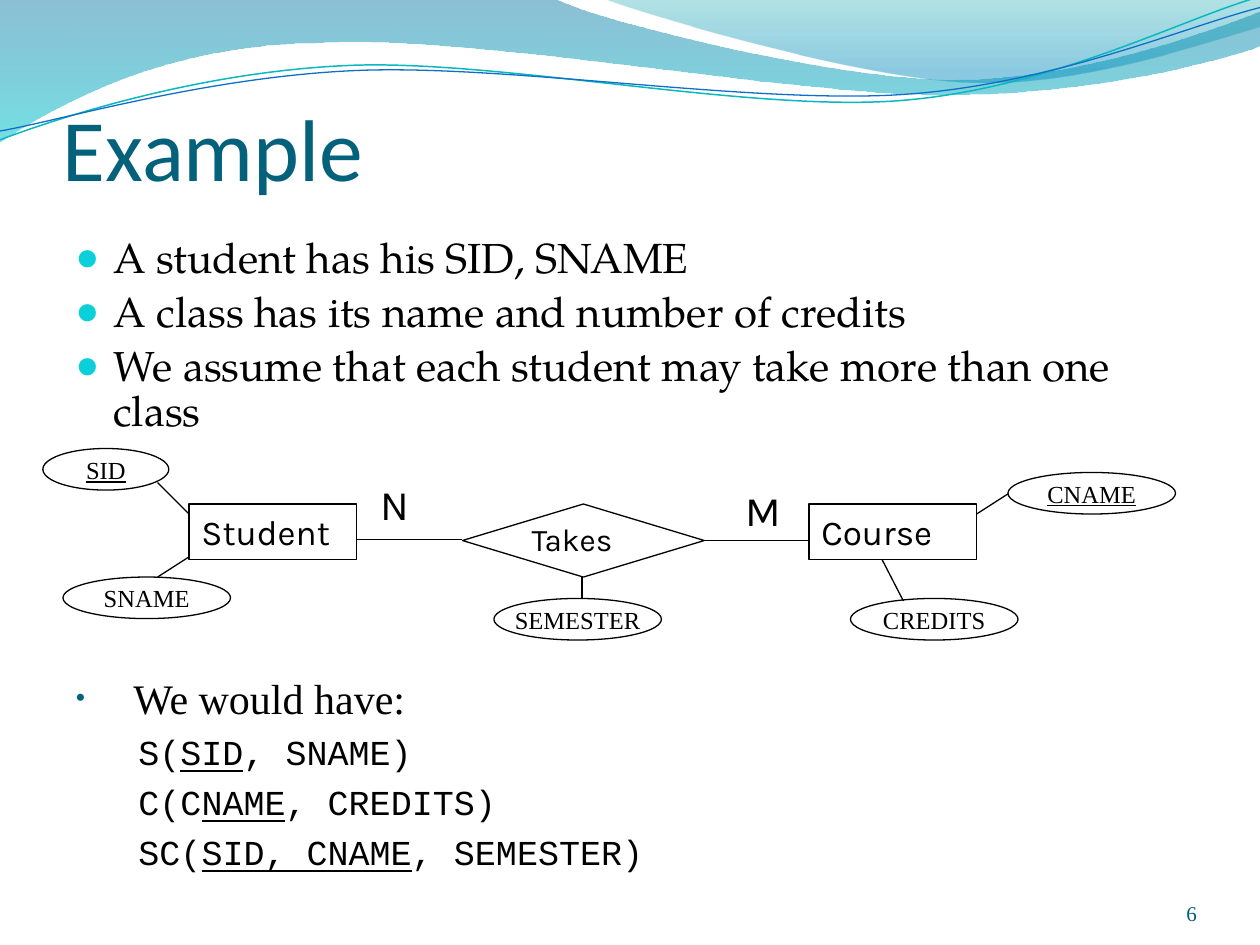
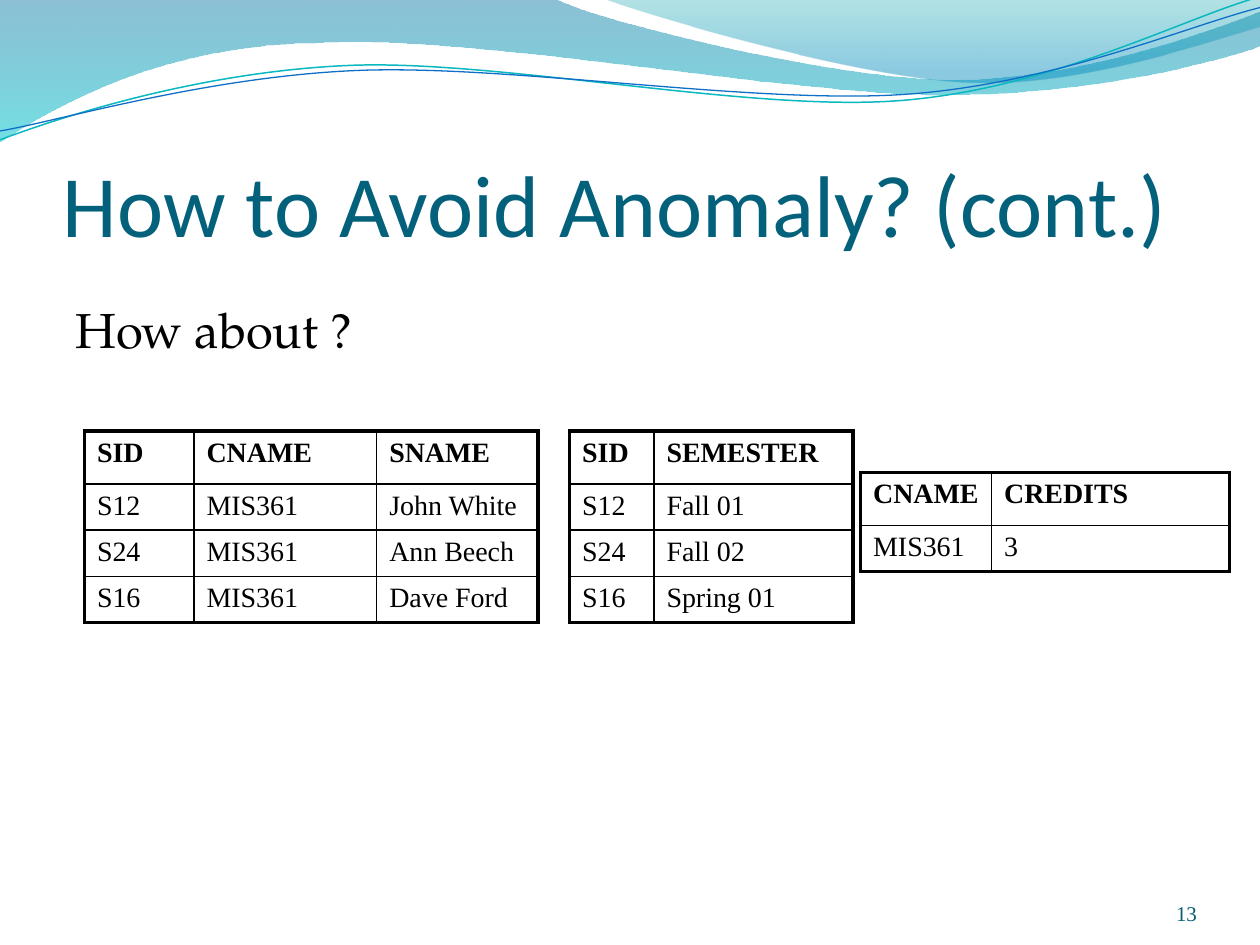
from lxml.etree import SubElement
from pptx import Presentation
from pptx.dml.color import RGBColor
from pptx.enum.shapes import MSO_CONNECTOR, MSO_SHAPE
from pptx.enum.text import MSO_ANCHOR, PP_ALIGN
from pptx.oxml.ns import qn
from pptx.util import Inches, Pt

BLACK = "000000"
TITLE = "04617B"
NUMBER = "045C75"
BULLET = "0BD0D9"
HEADING_FONT = "Calibri"
BODY_FONT = "TeX Gyre Pagella"
SERIF = "Times New Roman"
MONO = "Courier New"
DIAGRAM_FONT = "Karla"
INSETS = (0.1, 0.05, 0.1, 0.05)
HEADER_HEIGHT = 0.42

BANDS = [
    ([(0, -0.01), (4.4, -0.01), (4.76, 0.17, 6.64, 0.63, 7.58, 0.63),
      (8.53, 0.63, 9.58, 0.26, 10, 0.09), (10.01, 0.36),
      (9.83, 0.44, 8.7, 0.76, 7.46, 0.75), (6.22, 0.75, 3.82, 0.28, 2.57, 0.34),
      (1.29, 0.35, 0.46, 0.83, -0.01, 1.13)],
     [(0, "0074A1", 45), (1, "00C6CF", 55)]),
    ([(4.79, -0.01), (5.09, 0.11, 6.82, 0.62, 7.69, 0.65),
      (8.56, 0.69, 9.61, 0.32, 10, 0.21), (10, 0)],
     [(0, "00A1A9", 30), (0.8, "008BBF", 45)]),
]
WAVES = [
    ([(0, 1.11), (0.48, 0.93, 1.58, 0.57, 2.77, 0.52),
      (3.95, 0.47, 5.93, 0.89, 7.13, 0.8), (8.33, 0.71, 9.38, 0.15, 9.98, -0.02)],
     "0AB8BF", 0.85),
    ([(0, 1.04), (0.47, 0.96, 1.64, 0.61, 2.83, 0.56),
      (4.03, 0.51, 5.97, 0.83, 7.17, 0.75), (8.36, 0.67, 9.41, 0.21, 10, 0.06)],
     "0F6FC6", 0.75),
]


def rgb(color):
    return RGBColor.from_string(color)


def inches(values):
    return [Inches(v) for v in values]


def set_line(line, color=BLACK, width=0.75):
    line.color.rgb = rgb(color)
    line.width = Pt(width)


def set_bullet(p, char, color, percent):
    pPr = p._p.get_or_add_pPr()
    clr = SubElement(pPr, qn("a:buClr"))
    SubElement(clr, qn("a:srgbClr"), val=color)
    SubElement(pPr, qn("a:buSzPct"), val=str(percent * 1000))
    SubElement(pPr, qn("a:buFont"), typeface=SERIF)
    SubElement(pPr, qn("a:buChar"), char=char)


def set_indent(p, left, hanging=0):
    pPr = p._p.get_or_add_pPr()
    pPr.set("marL", str(Inches(left)))
    pPr.set("indent", str(-Inches(hanging)))


def write(p, marked_text, font=SERIF, size=14, color=BLACK, bold=False,
          align=PP_ALIGN.LEFT, spacing=None, before=0):
    p.alignment = align
    p.space_before = Pt(before)
    if spacing:
        p.line_spacing = spacing
    for i, part in enumerate(marked_text.split("_")):
        if part:
            r = p.add_run()
            r.text = part
            r.font.name = font
            r.font.size = Pt(size)
            r.font.bold = bold
            r.font.color.rgb = rgb(color)
            r.font.underline = i % 2 == 1


def set_frame(tf, anchor=MSO_ANCHOR.TOP, insets=INSETS, wrap=True):
    tf.word_wrap = wrap
    tf.vertical_anchor = anchor
    (tf.margin_left, tf.margin_top,
     tf.margin_right, tf.margin_bottom) = inches(insets)


def add_text_box(s, box, anchor=MSO_ANCHOR.TOP, insets=INSETS):
    tf = s.shapes.add_textbox(*inches(box)).text_frame
    set_frame(tf, anchor, insets)
    return tf


def add_label(s, box, text, **fmt):
    write(add_text_box(s, box).paragraphs[0], text, font=DIAGRAM_FONT, **fmt)


def add_outlined(s, kind, box):
    sp = s.shapes.add_shape(kind, *inches(box))
    sp.shadow.inherit = False
    sp.fill.background()
    set_line(sp.line)
    return sp


def add_entity(s, left, text):
    sp = add_outlined(s, MSO_SHAPE.RECTANGLE, (left, 4, 1.33, 0.44))
    set_frame(sp.text_frame)
    write(sp.text_frame.paragraphs[0], text, font=DIAGRAM_FONT, size=20)


def add_attribute(s, left, top, text, width=1.33):
    sp = add_outlined(s, MSO_SHAPE.OVAL, (left, top, width, 0.33))
    set_frame(sp.text_frame, MSO_ANCHOR.MIDDLE, wrap=False)
    write(sp.text_frame.paragraphs[0], text, align=PP_ALIGN.CENTER)


def add_link(s, *ends):
    c = s.shapes.add_connector(MSO_CONNECTOR.STRAIGHT, *inches(ends))
    set_line(c.line)
    SubElement(c.element.spPr, qn("a:effectLst"))


def add_outline(s, steps, close):
    points = [inches(step[i:i + 2]) for step in steps for i in range(0, len(step), 2)]
    builder = s.shapes.build_freeform(*points[0])
    builder.add_line_segments(points[1:], close=close)
    sp = builder.convert_to_shape()
    sp.shadow.inherit = False
    segments = iter(list(sp.element.iter(qn("a:lnTo"))))
    for step in steps[1:]:
        first = next(segments)
        if len(step) == 6:
            curve = first.makeelement(qn("a:cubicBezTo"))
            first.addprevious(curve)
            for segment in (first, next(segments), next(segments)):
                curve.append(segment[0])
                segment.getparent().remove(segment)
    return sp


def add_band(s, steps, stops):
    sp = add_outline(s, steps, True)
    sp.line.fill.background()
    sp.fill.gradient()
    sp.fill.gradient_angle = 270
    for stop, (position, color, _) in zip(sp.fill.gradient_stops, stops):
        stop.position = position
        stop.color.rgb = rgb(color)
    for gs, (_, _, opacity) in zip(sp.element.iter(qn("a:gs")), stops):
        SubElement(gs[0], qn("a:alpha"), val=str(opacity * 1000))


def add_wave(s, steps, color, width):
    sp = add_outline(s, steps, False)
    sp.fill.background()
    set_line(sp.line, color, width)


def add_slide(prs, title, title_height, number):
    s = prs.slides.add_slide(prs.slide_layouts[6])
    for band in BANDS:
        add_band(s, *band)
    for wave in WAVES:
        add_wave(s, *wave)
    tf = add_text_box(s, (0.5, 0.77, 9, title_height), MSO_ANCHOR.BOTTOM, (0, 0.05, 0, 0))
    write(tf.paragraphs[0], title, font=HEADING_FONT, size=50, color=TITLE)
    tf = add_text_box(s, (8.67, 6.95, 0.83, 0.4), MSO_ANCHOR.BOTTOM, (0, 0, 0, 0))
    write(tf.paragraphs[0], number, size=12, color=NUMBER, align=PP_ALIGN.RIGHT)
    return s


def set_borders(cell, **widths):
    tcPr = cell._tc.get_or_add_tcPr()
    for i, side in enumerate(("lnL", "lnR", "lnT", "lnB")):
        ln = tcPr.makeelement(qn("a:" + side), {"w": str(Pt(widths[side]))})
        fill = SubElement(ln, qn("a:solidFill"))
        SubElement(fill, qn("a:srgbClr"), val=BLACK)
        tcPr.insert(i, ln)


def add_grid(s, left, top, height, widths, rows):
    last_row, last_column = len(rows) - 1, len(widths) - 1
    body_height = (height - HEADER_HEIGHT) / last_row
    table = s.shapes.add_table(len(rows), len(widths), *inches(
        (left, top, sum(widths), height))).table
    for column, width in zip(table.columns, widths):
        column.width = Inches(width)
    for i, row in enumerate(rows):
        table.rows[i].height = Inches(body_height if i else HEADER_HEIGHT)
        for j, text in enumerate(row):
            cell = table.cell(i, j)
            cell.fill.background()
            write(cell.text_frame.paragraphs[0], text, size=16, bold=i == 0)
            set_borders(cell, lnL=2.25 if j == 0 else 1,
                        lnR=2.25 if j == last_column else 1,
                        lnT=2.25 if i == 0 else 1,
                        lnB=2.25 if i == last_row else 1)


def add_facts(s, facts):
    tf = add_text_box(s, (0.5, 1.83, 9.08, 1.58))
    for i, fact in enumerate(facts):
        p = tf.add_paragraph() if i else tf.paragraphs[0]
        set_indent(p, 0.3, 0.3)
        set_bullet(p, "●", BULLET, 95)
        write(p, fact, font=BODY_FONT, size=24, spacing=0.9, before=5 if i else 0)


def add_relations(s, heading, relations):
    tf = add_text_box(s, (0.5, 5.33, 9, 1.67))
    p = tf.paragraphs[0]
    set_indent(p, 0.46, 0.46)
    set_bullet(p, "•", TITLE, 70)
    write(p, heading, size=24, spacing=0.9)
    for relation in relations:
        p = tf.add_paragraph()
        set_indent(p, 0.5)
        write(p, relation, font=MONO, size=20, spacing=0.9, before=7)


def add_er_diagram(s):
    add_entity(s, 1.5, "Student")
    add_entity(s, 6.42, "Course")
    add_outlined(s, MSO_SHAPE.DIAMOND, (3.67, 4, 1.92, 0.58))
    add_label(s, (3.83, 4.08, 1.42, 0.4), "Takes", size=18, align=PP_ALIGN.CENTER)
    add_label(s, (2.92, 3.75, 0.5, 0.5), "N", size=24)
    add_label(s, (5.82, 3.8, 0.54, 0.5), "M", size=24)
    add_attribute(s, 0.34, 3.56, "_SID_", width=1)
    add_attribute(s, 0.5, 4.58, "SNAME")
    add_attribute(s, 3.92, 4.75, "SEMESTER")
    add_attribute(s, 6.75, 4.75, "CREDITS")
    add_attribute(s, 8, 3.75, "_CNAME_")
    for ends in [(2.83, 4.28, 3.67, 4.28), (5.58, 4.29, 6.42, 4.29),
                 (4.62, 4.58, 4.62, 4.75), (1.25, 4.58, 1.5, 4.42),
                 (7.17, 4.77, 7, 4.44), (1.25, 3.83, 1.5, 4.08),
                 (7.75, 4.08, 8, 3.92)]:
        add_link(s, *ends)


def main():
    prs = Presentation()
    prs.slide_width, prs.slide_height = Inches(10), Inches(7.5)

    s = add_slide(prs, "Example", 0.81, "6")
    add_facts(s, ["A student has his SID, SNAME",
                  "A class has its name and number of credits",
                  "We assume that each student may take more than one class"])
    add_er_diagram(s)
    add_relations(s, "We would have:", ["S(_SID_, SNAME)", "C(C_NAME_, CREDITS)",
                                        "SC(_SID, CNAME_, SEMESTER)"])

    s = add_slide(prs, "How to Avoid Anomaly? (cont.)", 1.25, "13")
    tf = add_text_box(s, (0.5, 2.33, 9.25, 0.92))
    write(tf.paragraphs[0], "How about ?", font=BODY_FONT, size=28)
    add_grid(s, 0.67, 3.42, 1.52, [0.87, 1.45, 1.28], [
        ("SID", "CNAME", "SNAME"), ("S12", "MIS361", "John White"),
        ("S24", "MIS361", "Ann Beech"), ("S16", "MIS361", "Dave Ford")])
    add_grid(s, 6.83, 3.75, 0.78, [1.04, 1.89],
             [("CNAME", "CREDITS"), ("MIS361", "3")])
    add_grid(s, 4.52, 3.42, 1.52, [0.67, 1.58], [
        ("SID", "SEMESTER"), ("S12", "Fall 01"), ("S24", "Fall 02"), ("S16", "Spring 01")])

    prs.save("out.pptx")


if __name__ == "__main__":
    main()
